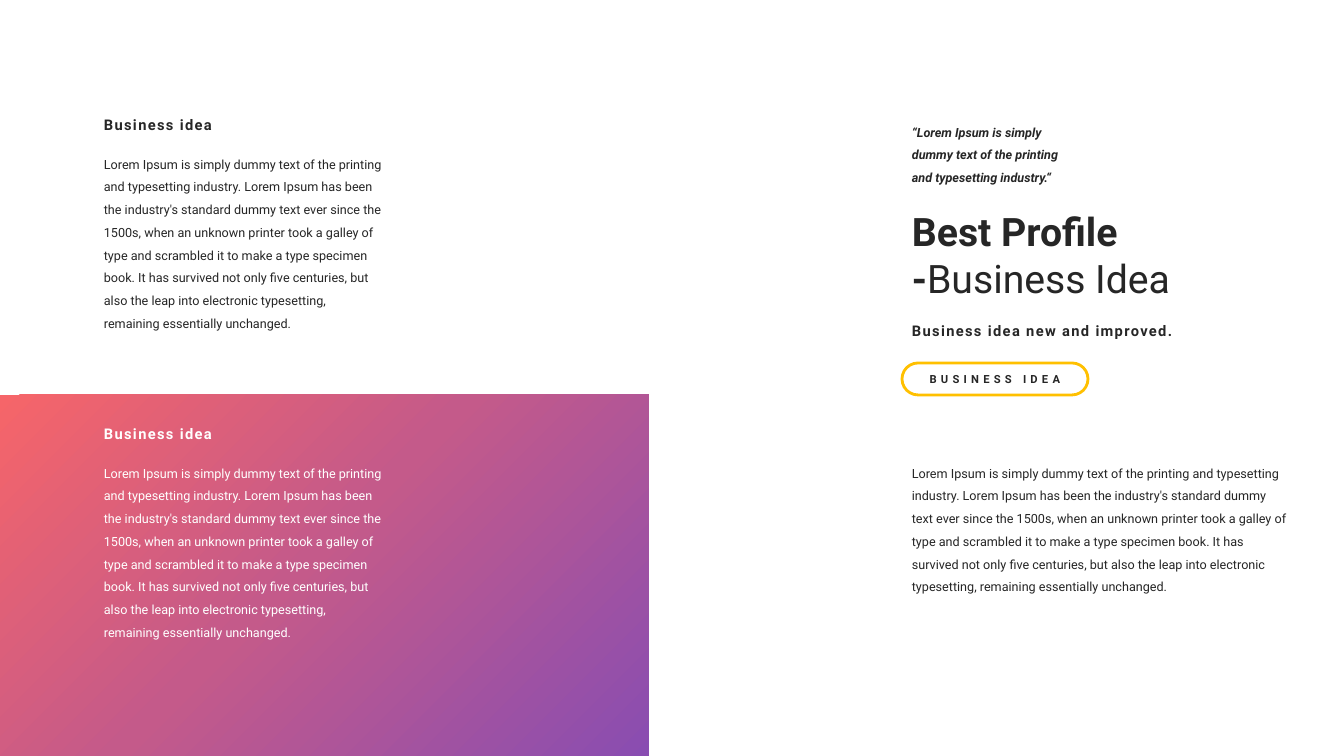
from copy import deepcopy

from pptx import Presentation
from pptx.dml.color import RGBColor
from pptx.enum.shapes import MSO_SHAPE
from pptx.enum.text import MSO_ANCHOR, MSO_AUTO_SIZE, PP_ALIGN
from pptx.util import Emu, Pt

PX = 914400 / 100.8
FONT = "Roboto"
COLORS = {"dark": "262626", "white": "FFFFFF", "gold": "FFC000",
          "coral": "F66569", "rose": "C45A8A", "violet": "894DB1"}
LEFT, RIGHT = 94, 902
COLUMN = 300
QUOTE = "“Lorem Ipsum is simply dummy text of the printing and typesetting industry.“"
BODY = ("Lorem Ipsum is simply dummy text of the printing and typesetting industry. "
        "Lorem Ipsum has been the industry's standard dummy text ever since the 1500s, "
        "when an unknown printer took a galley of type and scrambled it to make a type "
        "specimen book. It has survived not only five centuries, but also the leap into "
        "electronic typesetting, remaining essentially unchanged.")


def px(*lengths):
    """Turn pixel lengths into EMU."""
    return [Emu(round(n * PX)) for n in lengths]


def rgb(name):
    """Look up a named colour."""
    return RGBColor.from_string(COLORS[name])


def write(tf, text, size, color="dark", bold=False, italic=False, spacing=0):
    """Write one paragraph in one style and return it."""
    p = tf.paragraphs[0]
    p.font.name, p.font.size = FONT, Pt(size)
    p.font.bold, p.font.italic = bold, italic
    p.font.color.rgb = rgb(color)
    r = p.add_run()
    r.text = text
    if spacing:
        r._r.get_or_add_rPr().set("spc", str(spacing * 100))
    return p


def add_text(shapes, box, text, size, line_spacing=None, **style):
    """Add a wrapping text box and return its paragraph."""
    tf = shapes.add_textbox(*px(*box)).text_frame
    tf.word_wrap = True
    tf.auto_size = MSO_AUTO_SIZE.SHAPE_TO_FIT_TEXT
    p = write(tf, text, size, **style)
    if line_spacing:
        p.line_spacing = line_spacing
    return p


def add_round_rect(shapes, box, radius):
    """Add a rounded rectangle without a shadow."""
    sp = shapes.add_shape(MSO_SHAPE.ROUNDED_RECTANGLE, *px(*box))
    sp.adjustments[0] = radius
    sp.shadow.inherit = False
    return sp


def add_gradient_panel(shapes, box):
    """Add the panel with a diagonal three-colour gradient."""
    sp = add_round_rect(shapes, box, 0)
    sp.line.fill.background()
    sp.fill.gradient()
    sp.fill.gradient_angle = 315
    first = sp.fill._xPr.gradFill.gsLst[0]
    first.addnext(deepcopy(first))
    stops = zip(sp.fill.gradient_stops, ("coral", "rose", "violet"), (0, 0.47, 1))
    for stop, color, position in stops:
        stop.color.rgb = rgb(color)
        stop.position = position


def add_pill(shapes, box, text):
    """Add an outlined pill with a centred label."""
    sp = add_round_rect(shapes, box, 0.5)
    sp.fill.background()
    sp.line.color.rgb = rgb("gold")
    sp.line.width = Pt(2)
    tf = sp.text_frame
    tf.vertical_anchor = MSO_ANCHOR.MIDDLE
    write(tf, text, 8, bold=True, spacing=3).alignment = PP_ALIGN.CENTER


def add_idea(shapes, top, color):
    """Add a heading with its body text in the left column."""
    group = shapes.add_group_shape().shapes
    add_text(group, (LEFT, top, COLUMN, 29), "Business idea", 10.5,
             color=color, bold=True, spacing=1)
    add_text(group, (LEFT, top + 33, COLUMN, 191), BODY, 9, 1.5, color=color)


def add_profile(shapes):
    """Add the quote, title, subtitle and pill in the right column."""
    group = shapes.add_group_shape().shapes
    add_text(group, (RIGHT, 112, 186, 77), QUOTE, 9, 1.5, bold=True, italic=True)
    title = add_text(group, (RIGHT, 202, 302, 105), "Best Profile -", 28, bold=True)
    r = title.add_run()
    r.text = "Business Idea"
    r.font.bold = False
    add_text(group, (RIGHT, 317, 311, 29), "Business idea new and improved.", 10.5,
             bold=True, spacing=1)
    add_pill(group, (RIGHT, 363, 186, 32), "BUSINESS IDEA")


def main():
    """Build the slide and save it."""
    prs = Presentation()
    prs.slide_width, prs.slide_height = px(1344, 756)
    s = prs.slides.add_slide(prs.slide_layouts[6])
    add_gradient_panel(s.shapes, (0, 395, 649, 361))
    add_profile(s.shapes)
    add_idea(s.shapes, 420, "white")
    add_idea(s.shapes, 111, "dark")
    add_text(s.shapes, (RIGHT, 453, 394, 145), BODY, 9, 1.5)
    prs.save("out.pptx")


if __name__ == "__main__":
    main()
